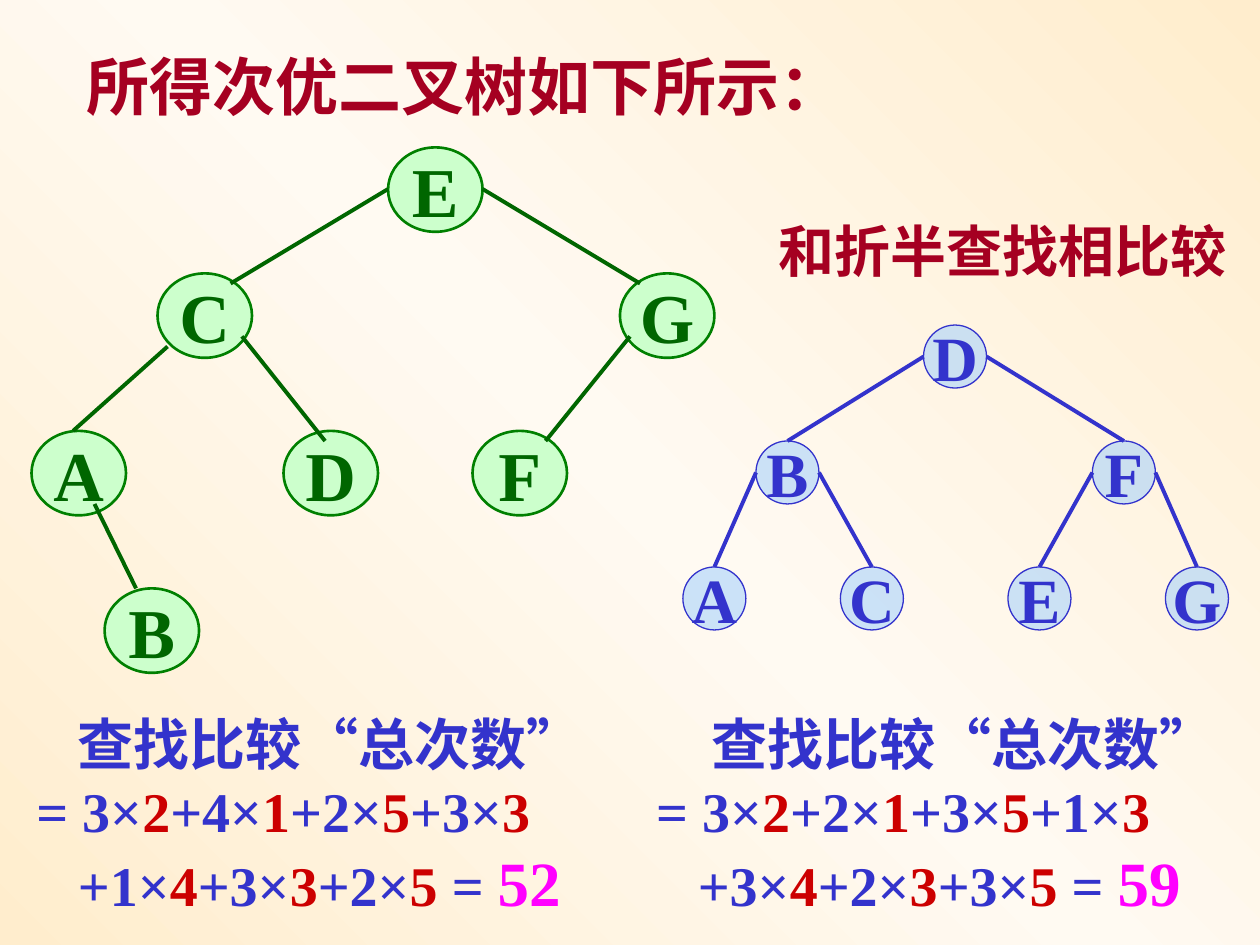
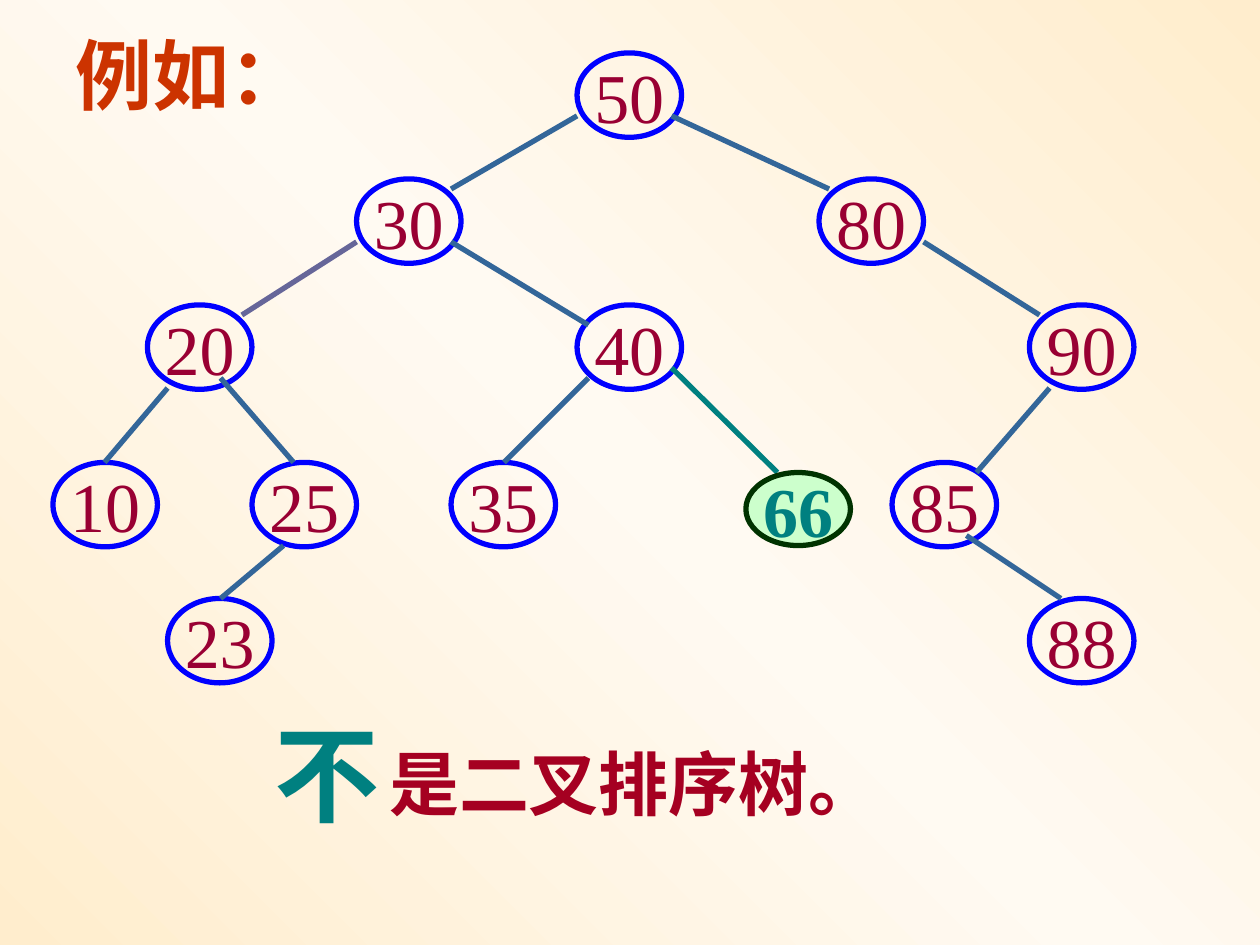
from copy import deepcopy

from pptx import Presentation
from pptx.dml.color import RGBColor
from pptx.enum.shapes import MSO_CONNECTOR, MSO_SHAPE
from pptx.enum.text import MSO_ANCHOR, PP_ALIGN
from pptx.oxml.ns import qn
from pptx.util import Inches, Pt
from lxml import etree

OVAL = MSO_SHAPE.OVAL
LINE = MSO_CONNECTOR.STRAIGHT
CENTER = PP_ALIGN.CENTER
MIDDLE = MSO_ANCHOR.MIDDLE

FACE = "Times New Roman"
CREAM, PALE = "FFEDCD", "FFFAF2"
WINE, BLUE, RED, PINK, TEAL = "A50021", "3333CC", "CC0000", "FF00FF", "008080"

GREEN = dict(w=0.75, h=0.67, fill="CCFFCC", line="008000", width=1.5,
             size=40, ink="006600", bold=True)
SKY = dict(w=0.5, h=0.5, fill="99CCFF", alpha=50, line=BLUE, width=0.75,
           size=36, ink=BLUE, bold=True)
RING = dict(w=0.83, h=0.67, fill=None, line="0000FF", width=3,
            size=40, ink="990033", bold=False)
ODD = dict(RING, h=0.58, fill="CCFFCC", line="003300", ink=TEAL, bold=True)

BEST_NODES = [
    ("E", 3.08, 1.17), ("C", 1.25, 2.17), ("G", 4.92, 2.17), ("A", 0.25, 3.42),
    ("B", 0.83, 4.67), ("D", 2.25, 3.42), ("F", 3.75, 3.42),
]
BEST_EDGES = [
    (3.08, 1.5, 1.83, 2.25), (1.33, 2.75, 0.58, 3.42), (1.92, 2.67, 2.58, 3.5),
    (0.75, 4, 1.08, 4.67), (3.83, 1.5, 5.08, 2.25), (5, 2.67, 4.33, 3.5),
]
HALF_NODES = [
    ("D", 7.33, 2.58), ("B", 6, 3.5), ("A", 5.42, 4.5), ("C", 6.67, 4.5),
    ("F", 8.67, 3.5), ("E", 8, 4.5), ("G", 9.25, 4.5),
]
HALF_EDGES = [
    (7.33, 2.83, 6.25, 3.5), (6, 3.75, 5.67, 4.5), (6.5, 3.75, 6.92, 4.5),
    (7.83, 2.83, 8.92, 3.5), (8.67, 3.75, 8.25, 4.5), (9.17, 3.75, 9.5, 4.5),
]
SORT_NODES = [
    ("50", 4.58, 0.42), ("30", 2.83, 1.42), ("80", 6.5, 1.42),
    ("20", 1.17, 2.42), ("90", 8.17, 2.42), ("10", 0.42, 3.67),
    ("85", 7.08, 3.67), ("40", 4.58, 2.42), ("35", 3.58, 3.67),
    ("25", 2, 3.67), ("23", 1.33, 4.75), ("88", 8.17, 4.75),
]
SORT_EDGES = [
    (4.58, 0.92, 3.58, 1.5), (5.33, 0.92, 6.58, 1.5), (3.58, 1.92, 4.67, 2.58),
    (1.33, 3.08, 0.83, 3.67), (1.75, 3, 2.33, 3.67), (2.25, 4.33, 1.75, 4.75),
    (4.67, 3, 4, 3.67), (7.33, 1.92, 8.25, 2.5), (8.33, 3.08, 7.75, 3.75),
    (7.67, 4.25, 8.42, 4.75),
]

WEIGHTS = (2, 1, 5, 3, 4, 3, 5)
BEST_STEPS = (3, 4, 2, 3, 1, 3, 2)
HALF_STEPS = (3, 2, 3, 1, 3, 2, 3)


def color(code):
    return RGBColor.from_string(code)


def set_back(master):
    fill = master.background.fill
    fill.gradient()
    fill.gradient_angle = 45
    for stop, code in zip(fill.gradient_stops, (CREAM, PALE)):
        stop.color.rgb = color(code)
    stops = master.element.xpath("p:cSld/p:bg//a:gsLst")[0]
    stops.append(deepcopy(stops[0]))
    for stop, place in zip(stops, (0, 50000, 100000)):
        stop.set("pos", str(place))


def add_run(para, text, size, ink, bold=True):
    run = para.add_run()
    run.text = text
    for name, value in dict(name=FACE, size=Pt(size), bold=bold).items():
        setattr(run.font, name, value)
    run.font.color.rgb = color(ink)


def add_box(slide, x, y, w, h):
    frame = slide.shapes.add_textbox(*map(Inches, (x, y, w, h))).text_frame
    frame.word_wrap = True
    return frame


def add_label(slide, spot, text, size, ink):
    add_run(add_box(slide, *spot).paragraphs[0], text, size, ink)


def add_node(slide, text, x, y, style):
    spot = map(Inches, (x, y, style["w"], style["h"]))
    node = slide.shapes.add_shape(OVAL, *spot)
    node.shadow.inherit = False
    node.line.color.rgb = color(style["line"])
    node.line.width = Pt(style["width"])
    if style["fill"]:
        node.fill.solid()
        node.fill.fore_color.rgb = color(style["fill"])
    else:
        node.fill.background()
    if "alpha" in style:
        tone = node.element.spPr.find(qn("a:solidFill"))[0]
        etree.SubElement(tone, qn("a:alpha"), val=str(style["alpha"] * 1000))
    frame = node.text_frame
    for name, value in dict(word_wrap=False, vertical_anchor=MIDDLE).items():
        setattr(frame, name, value)
    para = frame.paragraphs[0]
    para.alignment = CENTER
    add_run(para, text, style["size"], style["ink"], style["bold"])


def add_edge(slide, ends, ink, width):
    edge = slide.shapes.add_connector(LINE, *map(Inches, ends))
    edge.line.color.rgb = color(ink)
    edge.line.width = Pt(width)
    etree.SubElement(edge.element.spPr, qn("a:effectLst"))


def add_tree(slide, nodes, edges, style, ink, width):
    for text, x, y in nodes:
        add_node(slide, text, x, y, style)
    for ends in edges:
        add_edge(slide, ends, ink, width)


def add_terms(para, terms, lead):
    for step, weight in terms:
        add_run(para, f"{lead}{step}×", 32, BLUE)
        add_run(para, str(weight), 32, RED)
        lead = "+"


def add_sum(slide, x, w, steps, total, indent):
    frame = add_box(slide, x, 5.58, w, 1.77)
    head, first, last = [frame.paragraphs[0], frame.add_paragraph(),
                         frame.add_paragraph()]
    for para, left in ((head, indent), (first, 0.11), (last, 0.44)):
        para._p.get_or_add_pPr().set("marL", str(Inches(left)))
    terms = list(zip(steps, WEIGHTS))
    add_run(head, "查找比较“总次数”", 32, BLUE)
    add_terms(first, terms[:4], "= ")
    add_terms(last, terms[4:], "+")
    add_run(last, " = ", 32, BLUE)
    add_run(last, str(total), 36, PINK)


def draw_best(slide):
    add_tree(slide, BEST_NODES, BEST_EDGES, GREEN, "006600", 2.25)
    add_label(slide, (0.59, 0.33, 5.91, 0.7), "所得次优二叉树如下所示：", 36, WINE)
    add_sum(slide, 0.08, 4.68, BEST_STEPS, 52, 0.44)
    add_sum(slide, 5, 4.79, HALF_STEPS, 59, 0.55)
    add_label(slide, (6.08, 1.67, 3.78, 0.63), "和折半查找相比较", 32, WINE)
    add_tree(slide, HALF_NODES, HALF_EDGES, SKY, BLUE, 2.25)


def draw_sort(slide):
    add_tree(slide, SORT_NODES, SORT_EDGES, RING, "336699", 3)
    add_edge(slide, (2.83, 1.92, 1.92, 2.5), "666699", 3)
    add_label(slide, (0.5, 0.17, 1.64, 0.83), "例如：", 44, "CC3300")
    add_label(slide, (2.99, 5.83, 4.13, 0.77), "是二叉排序树。", 40, WINE)
    add_edge(slide, (5.33, 2.92, 6.17, 3.75), TEAL, 3)
    add_node(slide, "66", 5.92, 3.75, ODD)
    add_label(slide, (2.08, 5.58, 1.04, 1.1), "不", 60, TEAL)


def main():
    deck = Presentation()
    deck.slide_width, deck.slide_height = Inches(10), Inches(7.5)
    set_back(deck.slide_master)
    for draw in (draw_best, draw_sort):
        draw(deck.slides.add_slide(deck.slide_layouts[6]))
    deck.save("out.pptx")


if __name__ == "__main__":
    main()
